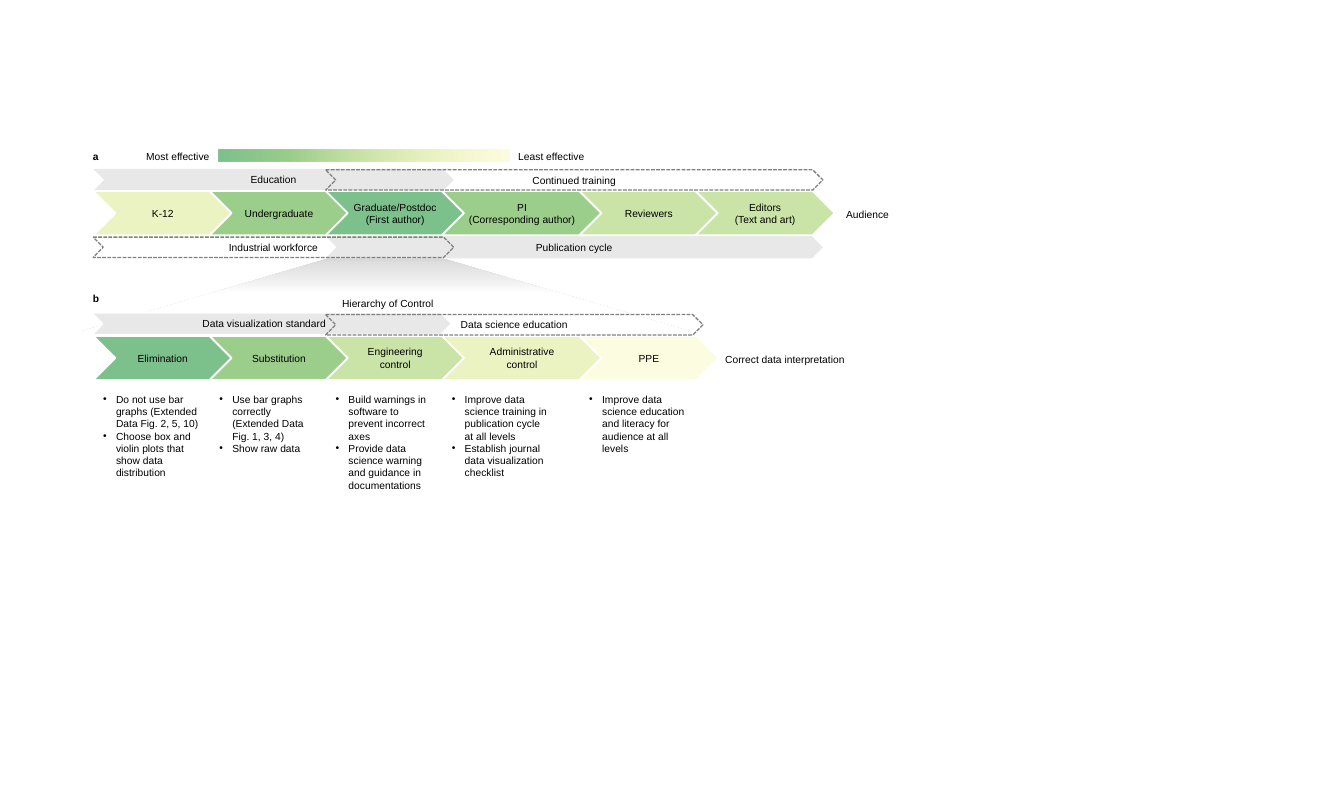
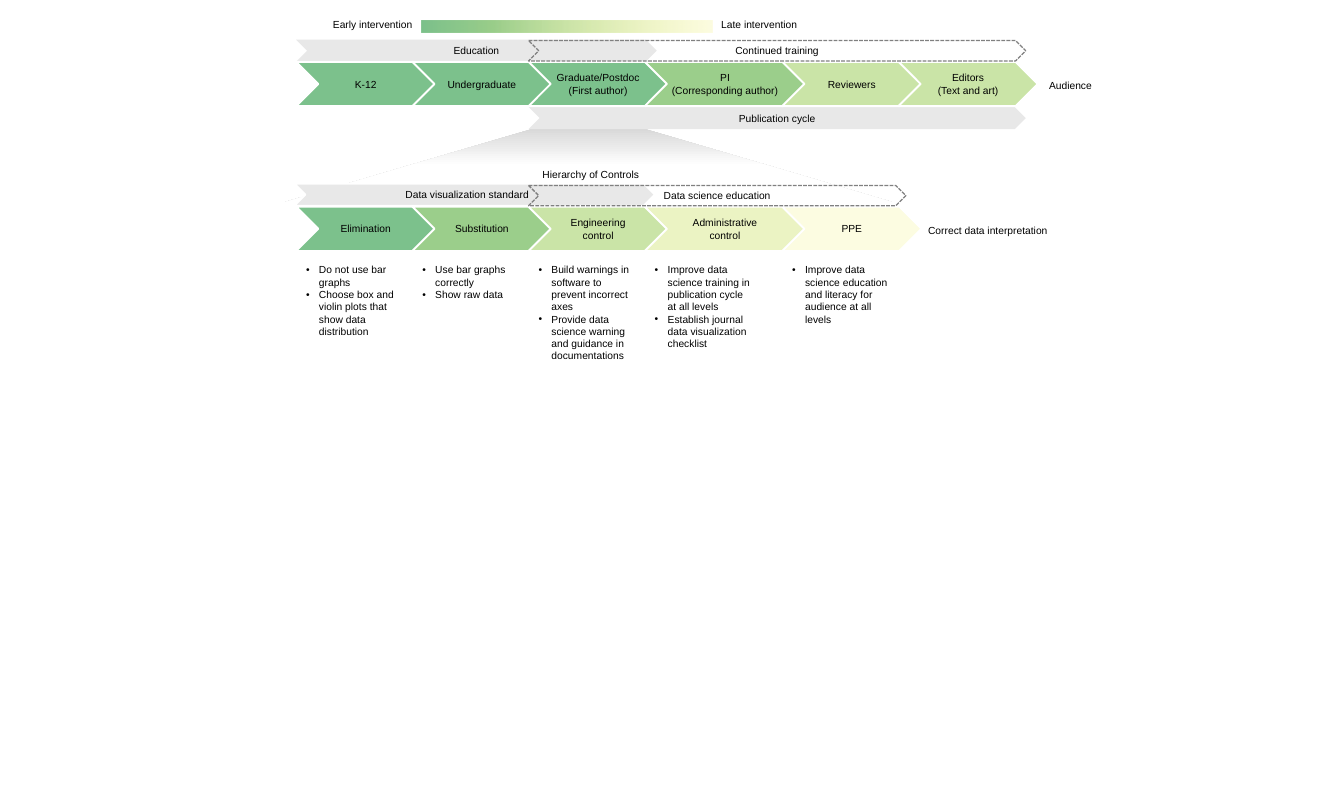
from lxml import etree
from pptx import Presentation
from pptx.dml.color import RGBColor
from pptx.enum.dml import MSO_LINE
from pptx.enum.shapes import MSO_SHAPE
from pptx.enum.text import MSO_ANCHOR, PP_ALIGN
from pptx.oxml.ns import qn
from pptx.util import Inches, Pt

CHEVRON, RECTANGLE, TRAPEZOID = MSO_SHAPE.CHEVRON, MSO_SHAPE.RECTANGLE, MSO_SHAPE.TRAPEZOID
LEFT, CENTER, RIGHT = PP_ALIGN.LEFT, PP_ALIGN.CENTER, PP_ALIGN.RIGHT
MIDDLE = MSO_ANCHOR.MIDDLE
DASHED = MSO_LINE.SQUARE_DOT

COLORS = {
    "text": "000000", "white": "FFFFFF", "band": "E8E8E8", "dash": "808080", "beam": "D1D1D1",
    "green": "5CB270", "leaf": "82C26E", "lime": "A8D26D", "olive": "CEE26B", "yellow": "F4F269",
}
OPACITY = {"green": 80, "leaf": 80, "lime": 60, "olive": 40, "yellow": 20}
FONT, SIZE = "Arial", Pt(8)
STEP_WIDTH, WIDE_STEP, STEP_HEIGHT, OVERLAP = 1.51, 1.74, 0.48, 0.25
SPLIT = 2.52

AUTHOR_STEPS = ["K-12", "Undergraduate", "Graduate/Postdoc\n(First author)",
                "PI\n(Corresponding author)", "Reviewers", "Editors\n(Text and art)"]
CONTROL_STEPS = ["Elimination", "Substitution", "Engineering\ncontrol",
                 "Administrative\ncontrol", "PPE"]
CONTROL_TONES = ["green", "leaf", "lime", "olive", "yellow"]
SHARED_ACTIONS = [
    ["Build warnings in software to prevent incorrect axes",
     "Provide data science warning and guidance in documentations"],
    ["Improve data science training in publication cycle at all levels",
     "Establish journal data visualization checklist"],
    ["Improve data science education and literacy for audience at all levels"],
]
CHOOSE_PLOTS = "Choose box and violin plots that show data distribution"
SHOW_DATA = "Show raw data"

PAGES = [
    {
        "origin": (1.01, 1.58),
        "panel_letters": True,
        "scale": ("Most effective", "Least effective"),
        "scale_shift": 0,
        "tones": ["olive", "leaf", "green", "leaf", "lime", "lime"],
        "workforce": "Industrial workforce",
        "heading": "Hierarchy of Control",
        "actions": [["Do not use bar graphs (Extended Data Fig. 2, 5, 10)", CHOOSE_PLOTS],
                    ["Use bar graphs correctly (Extended Data Fig. 1, 3, 4)", SHOW_DATA]],
    },
    {
        "origin": (3.21, 0.18),
        "panel_letters": False,
        "scale": ("Early intervention", "Late intervention"),
        "scale_shift": -0.03,
        "tones": ["green", "green", "green", "leaf", "lime", "lime"],
        "workforce": None,
        "heading": "Hierarchy of Controls",
        "actions": [["Do not use bar graphs", CHOOSE_PLOTS],
                    ["Use bar graphs correctly", SHOW_DATA]],
    },
]


def rgb(name):
    """Return the named colour."""
    return RGBColor.from_string(COLORS[name])


def write(shape, text, align, bold=False):
    """Set the text of a shape in the shared style."""
    frame = shape.text_frame
    frame.word_wrap = True
    frame.text = text
    for para in frame.paragraphs:
        para.alignment = align
        for span in para.runs:
            span.font.name, span.font.size, span.font.bold = FONT, SIZE, bold
            span.font.color.rgb = rgb("text")


def add_text(page, left, top, width, text, align=LEFT, bold=False, height=0.24):
    """Add a text box and return it."""
    box = page.shapes.add_textbox(Inches(left), Inches(top), Inches(width), Inches(height))
    write(box, text, align, bold)
    return box


def add_plain(page, kind, left, top, width, height):
    """Add a preset shape without shadow, fill or line."""
    shape = page.shapes.add_shape(kind, Inches(left), Inches(top), Inches(width), Inches(height))
    shape.shadow.inherit = False
    shape.fill.background()
    shape.line.fill.background()
    return shape


def set_alpha(color, name):
    """Give a colour element the opacity of its tone."""
    if name in OPACITY:
        etree.SubElement(color, qn("a:alpha")).set("val", str(OPACITY[name] * 1000))


def set_gradient(shape, stops, angle):
    """Fill a shape with a linear gradient of (percent, colour) stops."""
    shape.fill.gradient()
    shape.fill.gradient_angle = angle
    stop_list = shape.element.spPr.find(qn("a:gradFill")).find(qn("a:gsLst"))
    for old_stop in list(stop_list):
        stop_list.remove(old_stop)
    for percent, name in stops:
        stop = etree.SubElement(stop_list, qn("a:gs"))
        stop.set("pos", str(percent * 1000))
        color = etree.SubElement(stop, qn("a:srgbClr"))
        color.set("val", COLORS[name])
        set_alpha(color, name)


def add_chevron(page, left, top, width, height, text, fill=None, line=None, right_inset=0.04):
    """Add a labelled chevron; a grey line is dashed, a white one solid."""
    chevron = add_plain(page, CHEVRON, left, top, width, height)
    if fill:
        chevron.fill.solid()
        chevron.fill.fore_color.rgb = rgb(fill)
        set_alpha(chevron.element.spPr.find(qn("a:solidFill"))[0], fill)
    if line:
        chevron.line.color.rgb = rgb(line)
        chevron.line.width = Pt(1.5)
    if line == "dash":
        chevron.line.width = Pt(1)
        chevron.line.dash_style = DASHED
    write(chevron, text, CENTER)
    frame = chevron.text_frame
    frame.vertical_anchor = MIDDLE
    frame.margin_left = frame.margin_top = frame.margin_bottom = Inches(0.04)
    frame.margin_right = Inches(right_inset)


def add_band(page, left, top, width, text):
    """Add a filled grey band."""
    add_chevron(page, left, top, width, 0.24, text, fill="band")


def add_dashed_band(page, left, top, width, text):
    """Add a dashed outline band."""
    add_chevron(page, left, top, width, 0.22, text, line="dash")


def add_steps(page, left, top, labels, tones):
    """Add a row of overlapping steps and return their left edges."""
    edges = []
    for index, (label, tone) in enumerate(zip(labels, tones)):
        width = WIDE_STEP if index == 3 else STEP_WIDTH
        add_chevron(page, left, top, width, STEP_HEIGHT, label, tone, "white")
        edges.append(left)
        left += width - OVERLAP
    return edges


def add_scale(page, left, top, labels, shift):
    """Add the colour scale with a label at each end."""
    bar = add_plain(page, RECTANGLE, left + 1.36, top + 0.04, 3.15, 0.13)
    set_gradient(bar, [(25 * index, tone) for index, tone in enumerate(CONTROL_TONES)], 0)
    add_text(page, left + 0.16, top + shift, 1.2, labels[0], RIGHT)
    add_text(page, left + 4.51, top + shift, 1.2, labels[1])


def add_author_path(page, left, top, tones, workforce):
    """Add the path from school to audience with its bands."""
    add_band(page, left, top, 3.91, "Education")
    add_band(page, left + SPLIT, top + 0.73, 5.39, "Publication cycle")
    add_steps(page, left, top + 0.24, AUTHOR_STEPS, tones)
    add_text(page, left + 8.01, top + 0.38, 0.77, "Audience", CENTER)
    add_dashed_band(page, left + SPLIT, top + 0.01, 5.39, "Continued training")
    if workforce:
        add_dashed_band(page, left, top + 0.74, 3.91, workforce)


def add_actions(page, left, top, actions):
    """Add one bulleted list of actions."""
    box = add_text(page, left, top, 1.26, "\n".join(actions), height=1.04)
    for para in box.text_frame.paragraphs:
        properties = para._p.get_or_add_pPr()
        properties.set("marL", str(Inches(0.15)))
        properties.set("indent", str(Inches(-0.14)))
        etree.SubElement(properties, qn("a:buFont")).set("typeface", FONT)
        etree.SubElement(properties, qn("a:buChar")).set("char", "•")


def add_control_path(page, left, top, heading, actions):
    """Add the hierarchy of control with its bands and actions."""
    edges = add_steps(page, left, top + 0.47, CONTROL_STEPS, CONTROL_TONES)
    add_text(page, left + 6.61, top + 0.61, 1.78, "Correct data interpretation", CENTER)
    for edge, column in zip(edges, actions):
        add_actions(page, edge, top + 1.04, column)
    add_chevron(page, left - 0.02, top + 0.22, 3.91, 0.24, "Data visualization standard",
                "band", "white", right_inset=0.2)
    add_dashed_band(page, left + SPLIT, top + 0.24, 4.09, "Data science education")
    add_text(page, left, top, 6.39, heading, CENTER)


def add_beam(page, left, top):
    """Add the fading beam between the two paths."""
    beam = add_plain(page, TRAPEZOID, left, top, 6.58, 0.87)
    beam.adjustments[0] = 3.385
    set_gradient(beam, [(0, "beam"), (55, "white")], 270)


def add_page(deck, content):
    """Build one slide from its content."""
    page = deck.slides.add_slide(deck.slide_layouts[6])
    left, top = content["origin"]
    add_beam(page, left - 0.12, top + 1.14)
    add_author_path(page, left, top + 0.25, content["tones"], content["workforce"])
    add_control_path(page, left, top + 1.59, content["heading"],
                     content["actions"] + SHARED_ACTIONS)
    add_scale(page, left, top, content["scale"], content["scale_shift"])
    if content["panel_letters"]:
        for letter, offset in (("a", 0), ("b", 1.54)):
            add_text(page, left - 0.1, top + offset, 0.3, letter, bold=True)


def main():
    """Build and save the deck."""
    deck = Presentation()
    deck.slide_width, deck.slide_height = Inches(14.57), Inches(8.66)
    for content in PAGES:
        add_page(deck, content)
    deck.save("out.pptx")


if __name__ == "__main__":
    main()
